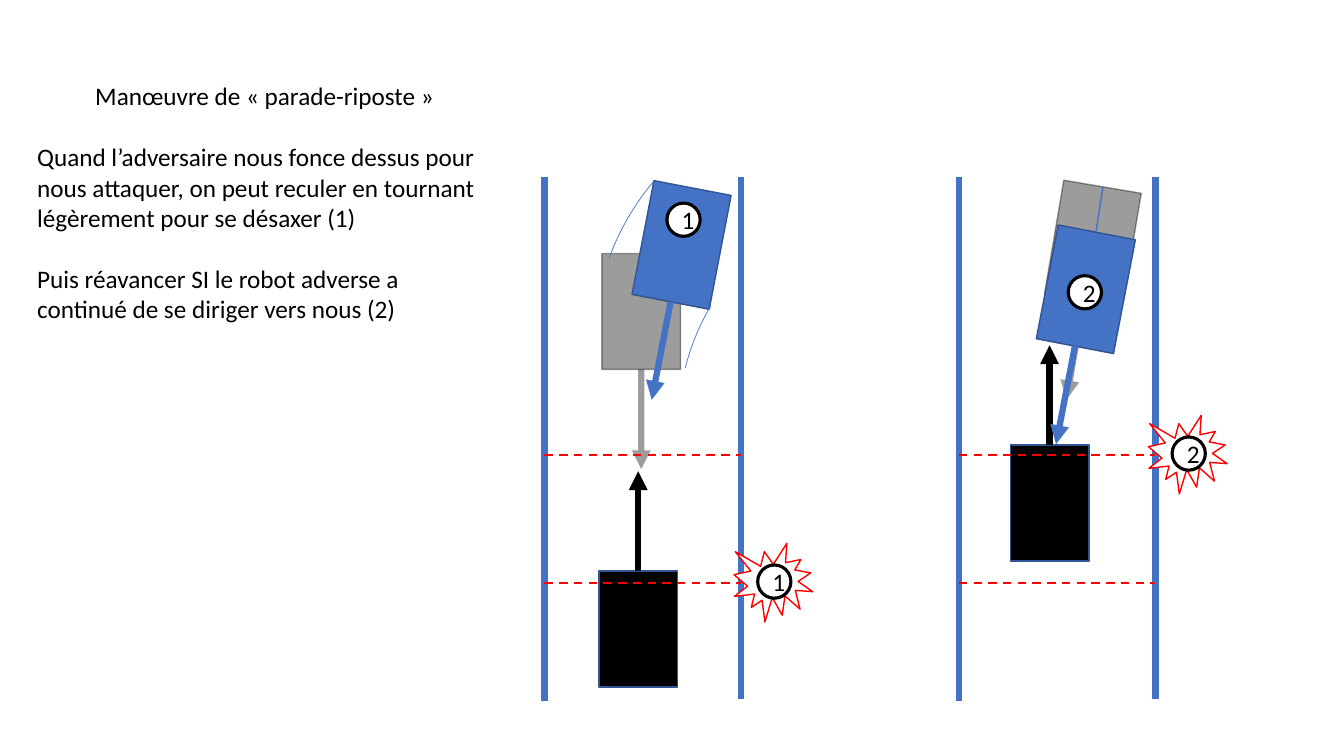
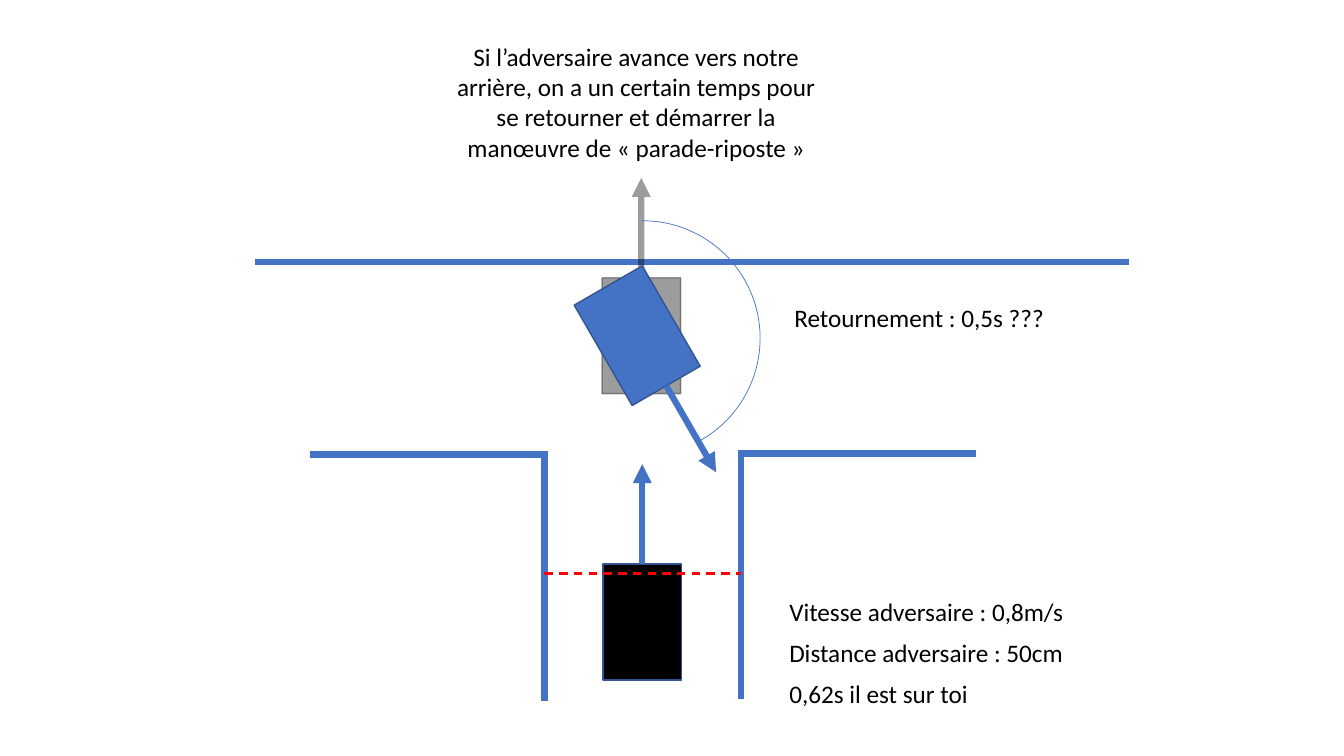
from dataclasses import dataclass
from math import cos, radians, sin
from typing import Optional

from lxml.etree import SubElement
from pptx import Presentation
from pptx.dml.color import RGBColor
from pptx.enum.dml import MSO_LINE
from pptx.enum.shapes import MSO_CONNECTOR, MSO_SHAPE
from pptx.enum.text import MSO_ANCHOR, MSO_AUTO_SIZE, PP_ALIGN
from pptx.oxml.ns import qn
from pptx.shapes.autoshape import Shape
from pptx.shapes.connector import Connector
from pptx.shapes.shapetree import _BaseGroupShapes as Shapes
from pptx.slide import Slide
from pptx.text.text import TextFrame
from pptx.util import Inches, Pt

BLUE, NAVY, BLACK, WHITE, RED = "4472C4", "325491", "000000", "FFFFFF", "FF0000"
FONT, TEXT_SIZE, BLANK_LAYOUT = "Calibri", 18, 6
THICK, DASHED, THIN, HAIR = 4.5, 1.5, 1, 0.5
ROBOT_W, ROBOT_H, ARROW = 0.78, 1.15, 0.99
BADGE, BURST, BURST_GAP = 0.33, 0.78, 0.32
GHOST_OPACITY = 39
LEFT_WALL, LANE_W, LANE_BOTTOM = 5.4, 1.95, 6.95
RIGHT_WALL = LEFT_WALL + LANE_W
TOP_MARK, LOW_MARK = 4.51, 5.78
NOTE_PITCH = 0.405


@dataclass(frozen=True)
class Robot:
    """A robot centred on (x, y); angle 0 faces down the slide, clockwise."""
    x: float
    y: float
    angle: float = 0
    body: str = BLUE
    edge: str = NAVY
    arrow: str = BLUE
    opacity: Optional[int] = None


@dataclass(frozen=True)
class Arc:
    """Part of a circle between two angles in degrees."""
    left: float
    top: float
    size: float
    start: float
    end: float
    angle: float = 0


@dataclass(frozen=True)
class Wall:
    """A straight wall from one point to another."""
    x1: float
    y1: float
    x2: float
    y2: float


def color(value: str) -> RGBColor:
    """Turn a hex string into a colour."""
    return RGBColor.from_string(value)


def fade(sp: Shape | Connector, percent: int) -> None:
    """Make every colour of a shape partly transparent."""
    for clr in list(sp._element.spPr.iter(qn("a:srgbClr"))):
        SubElement(clr, qn("a:alpha")).set("val", str(percent * 1000))


def add_line(shapes: Shapes, x1: float, y1: float, x2: float, y2: float,
             hue: str = BLUE, width: float = THICK, dash: bool = False,
             arrow: bool = False) -> Connector:
    """Draw a straight line, optionally dashed or with an arrowhead."""
    line = shapes.add_connector(MSO_CONNECTOR.STRAIGHT, Inches(x1), Inches(y1),
                                Inches(x2), Inches(y2))
    line.line.color.rgb = color(hue)
    line.line.width = Pt(width)
    if dash:
        line.line.dash_style = MSO_LINE.DASH
    spPr = line._element.spPr
    if arrow:
        SubElement(spPr.find(qn("a:ln")), qn("a:tailEnd")).set("type", "triangle")
    SubElement(spPr, qn("a:effectLst"))
    return line


def add_shape(shapes: Shapes, kind: MSO_SHAPE, x: float, y: float, w: float,
              h: float, fill: Optional[str], edge: str, width: float = THIN,
              angle: float = 0) -> Shape:
    """Draw a preset shape centred on (x, y)."""
    sp = shapes.add_shape(kind, Inches(x - w / 2), Inches(y - h / 2),
                          Inches(w), Inches(h))
    sp.shadow.inherit = False
    sp.rotation = angle
    if fill is None:
        sp.fill.background()
    else:
        sp.fill.solid()
        sp.fill.fore_color.rgb = color(fill)
    sp.line.color.rgb = color(edge)
    sp.line.width = Pt(width)
    return sp


def add_text(tf: TextFrame, text: str, *, align: PP_ALIGN = PP_ALIGN.LEFT,
             before: float = 0, first: bool = True) -> None:
    """Write one formatted paragraph into a text frame."""
    p = tf.paragraphs[0] if first else tf.add_paragraph()
    p.alignment = align
    p.space_before = Pt(before)
    r = p.add_run()
    r.text = text
    r.font.name = FONT
    r.font.size = Pt(TEXT_SIZE)
    r.font.color.rgb = color(BLACK)


def add_box(s: Slide, x: float, y: float, w: float, h: float) -> TextFrame:
    """Add a wrapping text box that grows with its text."""
    tf = s.shapes.add_textbox(Inches(x), Inches(y), Inches(w), Inches(h)).text_frame
    tf.word_wrap = True
    tf.auto_size = MSO_AUTO_SIZE.SHAPE_TO_FIT_TEXT
    return tf


def add_robot(s: Slide, robot: Robot) -> None:
    """Draw a robot and the arrow leaving its front as one group."""
    shapes = s.shapes.add_group_shape().shapes
    dx, dy = -sin(radians(robot.angle)), cos(radians(robot.angle))
    front, tip = ROBOT_H / 2, ROBOT_H / 2 + ARROW
    body = add_shape(shapes, MSO_SHAPE.RECTANGLE, robot.x, robot.y, ROBOT_W, ROBOT_H,
                     robot.body, robot.edge, angle=robot.angle)
    arrow = add_line(shapes, robot.x + front * dx, robot.y + front * dy,
                     robot.x + tip * dx, robot.y + tip * dy, robot.arrow, arrow=True)
    if robot.opacity is not None:
        fade(body, robot.opacity)
        fade(arrow, robot.opacity)


def ghost(x: float, y: float, angle: float = 0) -> Robot:
    """Describe the faded earlier position of our robot."""
    return Robot(x, y, angle, BLACK, BLACK, BLACK, GHOST_OPACITY)


def opponent(x: float, y: float, arrow: str = BLACK) -> Robot:
    """Describe the black opponent, facing up."""
    return Robot(x, y, 180, BLACK, NAVY, arrow)


def add_arc(s: Slide, arc: Arc) -> None:
    """Draw the trace of a turn."""
    half = arc.size / 2
    sp = add_shape(s.shapes, MSO_SHAPE.ARC, arc.left + half, arc.top + half, arc.size,
                   arc.size, None, BLUE, HAIR, arc.angle)
    for i, degrees in enumerate((arc.start, arc.end)):
        sp.adjustments[i] = degrees * 0.6


def add_badge(s: Slide, x: float, y: float, label: str) -> None:
    """Draw a numbered circle."""
    sp = add_shape(s.shapes, MSO_SHAPE.OVAL, x, y, BADGE, BADGE, WHITE, BLACK, 2.25)
    sp.text_frame.vertical_anchor = MSO_ANCHOR.MIDDLE
    add_text(sp.text_frame, label, align=PP_ALIGN.CENTER)


def add_impact(s: Slide, x: float, y: float, label: str) -> None:
    """Draw a numbered burst."""
    add_shape(s.shapes, MSO_SHAPE.EXPLOSION1, x, y, BURST, BURST, WHITE, RED)
    add_badge(s, x + 0.01, y - 0.01, label)


def add_walls(s: Slide, *walls: Wall) -> None:
    """Draw thick blue walls."""
    for wall in walls:
        add_line(s.shapes, wall.x1, wall.y1, wall.x2, wall.y2)


def add_mark(s: Slide, x: float, y: float) -> None:
    """Draw a dashed red line across a lane."""
    add_line(s.shapes, x, y, x + LANE_W, y, RED, DASHED, dash=True)


def add_lane(s: Slide, x: float, impact_y: float, label: str) -> None:
    """Draw a lane with its two marks and the burst beside one of them."""
    right = x + LANE_W
    add_walls(s, Wall(x, 1.76, x, LANE_BOTTOM), Wall(right, 1.76, right, 6.93))
    for y in (LOW_MARK, TOP_MARK):
        add_mark(s, x, y)
    add_impact(s, right + BURST_GAP, impact_y, label)


def build_parry(prs: Presentation) -> None:
    """Build the slide of the parry and its counter-attack."""
    s = prs.slides.add_slide(prs.slide_layouts[BLANK_LAYOUT])
    tf = add_box(s, 0.27, 0.75, 4.71, 2.52)
    add_text(tf, "Manœuvre de «\u00a0parade-riposte\u00a0»", align=PP_ALIGN.CENTER)
    for text in (
        "Quand l’adversaire nous fonce dessus pour nous attaquer, on peut reculer "
        "en tournant légèrement pour se désaxer (1)",
        "Puis réavancer SI le robot adverse a continué de se diriger vers nous (2)",
    ):
        add_text(tf, text, before=22, first=False)

    add_robot(s, ghost(6.36, 3.09))
    add_robot(s, opponent(6.33, 6.24))
    add_lane(s, LEFT_WALL, LOW_MARK, "1")
    add_robot(s, Robot(6.76, 2.43, 10.9))
    add_arc(s, Arc(5.89, 0.91, 5.02, 200, 220.35))
    add_arc(s, Arc(6.73, 1.92, 4.56, 201.03, 217.83, 352.9))
    add_badge(s, 6.78, 2.18, "1")

    add_robot(s, ghost(10.84, 2.42, 9.6))
    add_robot(s, opponent(10.41, 4.99))
    add_lane(s, 9.51, TOP_MARK, "2")
    add_robot(s, Robot(10.77, 2.87, 10.9))
    add_line(s.shapes, 10.94, 1.85, 10.87, 2.3, width=THIN)
    add_badge(s, 10.76, 2.9, "2")


def build_turn(prs: Presentation) -> None:
    """Build the slide of the half-turn before the parry."""
    s = prs.slides.add_slide(prs.slide_layouts[BLANK_LAYOUT])
    add_robot(s, opponent(6.37, 6.17, BLUE))
    add_walls(
        s,
        Wall(2.53, 2.6, 11.2, 2.6),
        Wall(LEFT_WALL, 4.47, LEFT_WALL, LANE_BOTTOM),
        Wall(RIGHT_WALL, 4.46, RIGHT_WALL, 6.93),
        Wall(RIGHT_WALL, 4.5, 9.68, 4.5),
        Wall(3.07, TOP_MARK, LEFT_WALL, TOP_MARK),
    )
    add_text(add_box(s, 7.78, 2.95, 3.8, 0.4), "Retournement : 0,5s ???")
    notes = ("Vitesse adversaire : 0,8m/s", "Distance adversaire : 50cm",
             "0,62s il est sur toi")
    for i, note in enumerate(notes):
        add_text(add_box(s, 7.73, 5.87 + i * NOTE_PITCH, 3.8, 0.4), note)
    add_mark(s, LEFT_WALL, 5.69)
    add_robot(s, ghost(6.36, 3.33, 180))
    add_robot(s, Robot(6.32, 3.33, 330))
    add_arc(s, Arc(5.21, 2.19, 2.33, 270, 61.34))
    add_text(
        add_box(s, 4.41, 0.36, 3.8, 1.31),
        "Si l’adversaire avance vers notre arrière, on a un certain temps pour se "
        "retourner et démarrer la manœuvre de «\u00a0parade-riposte\u00a0»",
        align=PP_ALIGN.CENTER)


def main() -> None:
    """Build and save the presentation."""
    prs = Presentation()
    prs.slide_width, prs.slide_height = Inches(13.33), Inches(7.5)
    build_parry(prs)
    build_turn(prs)
    prs.save("out.pptx")


main()
